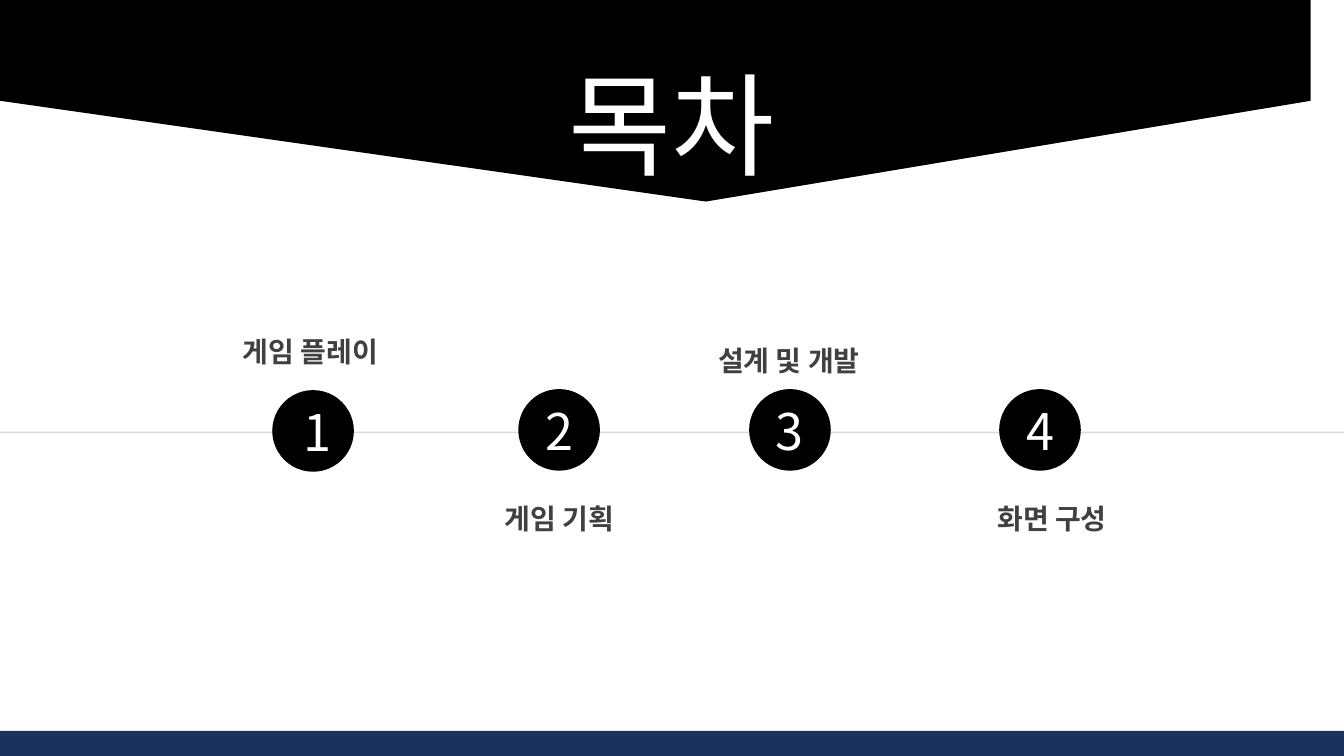
from lxml import etree
from pptx import Presentation
from pptx.dml.color import RGBColor
from pptx.enum.shapes import MSO_CONNECTOR, MSO_SHAPE
from pptx.enum.text import MSO_ANCHOR, PP_ALIGN
from pptx.oxml.ns import qn
from pptx.util import Inches, Pt

BLACK = RGBColor(0x00, 0x00, 0x00)
WHITE = RGBColor(0xFF, 0xFF, 0xFF)
DARK_GRAY = RGBColor(0x40, 0x40, 0x40)
LINE_GRAY = RGBColor(0xBF, 0xBF, 0xBF)
NAVY = RGBColor(0x1B, 0x32, 0x5F)
FONT = "Noto Sans CJK KR"

TITLE = "목차"
# (label, label left, label top, label width, circle left, circle top, digit inset)
CHAPTERS = [
    ("게임 플레이", 1.96, 3.27, 2.24, 2.7, 3.87, 0.09),
    ("게임 기획", 4.24, 4.93, 2.62, 5.14, 3.86, 0),
    ("설계 및 개발", 6.66, 3.36, 2.33, 7.43, 3.86, 0),
    ("화면 구성", 9.22, 4.93, 2.43, 9.91, 3.86, 0),
]
WIDTH, HEIGHT = 13.33, 7.5
BANNER = [(0, 0), (WIDTH, 0), (WIDTH, 0.91), (WIDTH / 2, 1.82), (0, 0.91)]
TIMELINE_Y = 4.29
CIRCLE = 0.81
LABEL_HEIGHT = 0.44
FOOTER_HEIGHT = 0.25


def paint(shape, color):
    shape.shadow.inherit = False
    shape.fill.solid()
    shape.fill.fore_color.rgb = color
    shape.line.fill.background()


def write(shape, text, size, color, bold=False):
    frame = shape.text_frame
    frame.text = text
    paragraph = frame.paragraphs[0]
    paragraph.alignment = PP_ALIGN.CENTER
    run = paragraph.runs[0]
    font = run.font
    font.name, font.size, font.bold = FONT, Pt(size), bold
    font.color.rgb = color
    east_asian = etree.SubElement(font._element, qn("a:ea"))
    east_asian.set("typeface", FONT)


def main():
    prs = Presentation()
    prs.slide_width, prs.slide_height = Inches(WIDTH), Inches(HEIGHT)
    slide = prs.slides.add_slide(prs.slide_layouts[5])
    shapes = slide.shapes

    title = shapes.title
    title.left, title.top = Inches(5.12), Inches(0.5)
    title.width, title.height = Inches(3.09), Inches(1.45)
    title.text_frame.vertical_anchor = MSO_ANCHOR.TOP
    write(title, TITLE, 80, WHITE)

    builder = shapes.build_freeform(0, 0, scale=Inches(1))
    builder.add_line_segments(BANNER[1:], close=True)
    banner = builder.convert_to_shape()
    paint(banner, BLACK)
    title.element.addprevious(banner.element)  # banner goes behind the title

    timeline = shapes.add_connector(MSO_CONNECTOR.STRAIGHT, 0, Inches(TIMELINE_Y),
                                    Inches(WIDTH), Inches(TIMELINE_Y))
    timeline.line.color.rgb = LINE_GRAY
    timeline.line.width = Pt(1)
    properties = timeline.element.spPr
    etree.SubElement(properties, qn("a:effectLst"))
    line_color = properties.find(".//" + qn("a:srgbClr"))
    etree.SubElement(line_color, qn("a:alpha")).set("val", "55000")

    for number, chapter in enumerate(CHAPTERS, 1):
        name, label_left, label_top, label_width, left, top, inset = chapter
        circle = shapes.add_shape(MSO_SHAPE.OVAL, Inches(left), Inches(top),
                                  Inches(CIRCLE), Inches(CIRCLE))
        paint(circle, BLACK)
        frame = circle.text_frame
        frame.margin_left = Inches(inset)
        frame.margin_right = frame.margin_top = frame.margin_bottom = 0
        frame.vertical_anchor = MSO_ANCHOR.MIDDLE
        write(circle, str(number), 36, WHITE)

        label = shapes.add_textbox(Inches(label_left), Inches(label_top),
                                   Inches(label_width), Inches(LABEL_HEIGHT))
        label.text_frame.word_wrap = True
        write(label, name, 20, DARK_GRAY, bold=True)

    footer = shapes.add_shape(MSO_SHAPE.RECTANGLE, 0, Inches(HEIGHT - FOOTER_HEIGHT),
                              Inches(WIDTH), Inches(FOOTER_HEIGHT))
    paint(footer, NAVY)
    prs.save("out.pptx")


if __name__ == "__main__":
    main()
